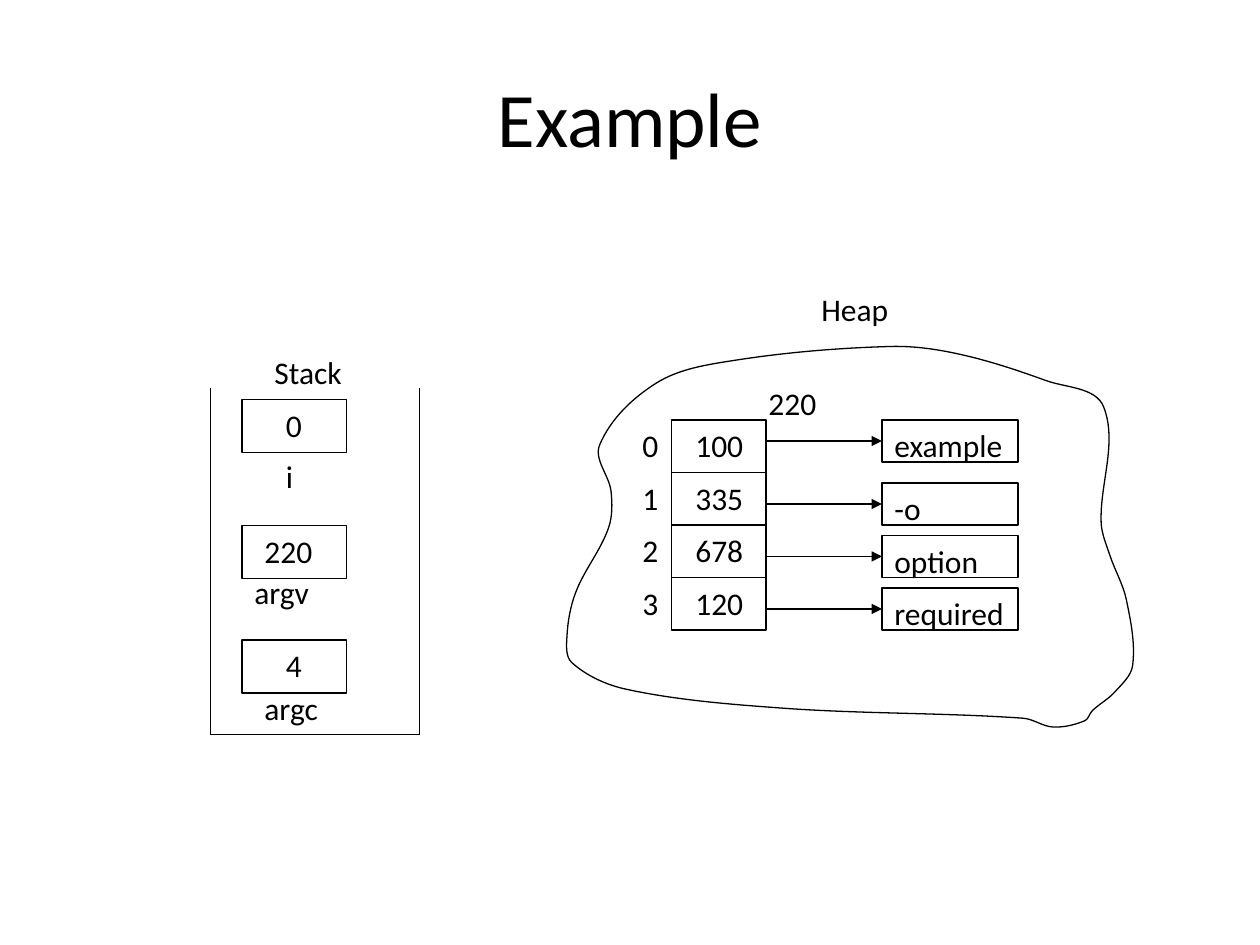
"""Build the slide showing how argc, argv and i sit on the stack and heap."""
import math

from pptx import Presentation
from pptx import util as u
from pptx.dml import color
from pptx.enum import shapes, text
from pptx.oxml import ns, xmlchemy

BLACK = color.RGBColor(0, 0, 0)
LABEL_FONT = {"name": "Calibri", "size": u.Pt(18)}
TITLE_FONT = {"name": "Calibri", "size": u.Pt(44)}
LABEL_FRAME = {"word_wrap": False, "auto_size": text.MSO_AUTO_SIZE.SHAPE_TO_FIT_TEXT}

TITLE = "Example"
LABEL_H = 0.4
DIGIT_W, NUMBER_W = 0.34, 0.62

HEADINGS = [("Stack", 2.08, 2.75, 0.83), ("Heap", 6.42, 2.25, 0.8), ("220", 6, 3, NUMBER_W)]

STACK_LEFT, STACK_RIGHT, STACK_TOP, STACK_BOTTOM = 1.67, 3.33, 3.08, 5.83
SLOT_LEFT, SLOT_W, SLOT_H = 1.92, 0.83, 0.42
SLOTS = [
    (3.17, ("0", 2.17, DIGIT_W), ("i", 2.17, 3.58, 0.26)),
    (4.17, ("220", 2, NUMBER_W), ("argv", 1.92, 4.5, 0.69)),
    (5.08, ("4", 2.17, DIGIT_W), ("argc", 2, 5.42, 0.69)),
]

ARRAY_LEFT, ARRAY_TOP, ARRAY_W, CELL_H = 5.33, 10 / 3, 0.75, 5 / 12
INDEX_LEFT, ADDRESS_LEFT = 5, 5.42
STRING_LEFT, STRING_W, STRING_H = 7, 1.08, 1 / 3
ENTRIES = [
    ("100", "example", 1.15),
    ("335", "-o", 0.42),
    ("678", "option", 0.88),
    ("120", "required", 1.12),
]

HEAP_SIDES = {
    "left": [(5.83, 2.86), (5.21, 3.04), (4.76, 3.53), (4.85, 3.9), (4.83, 4.19), (4.57, 4.7), (4.5, 5.05)],
    "bottom": [(4.54, 5.26), (4.97, 5.47), (6.21, 5.62), (8.12, 5.7), (8.36, 5.77), (8.61, 5.72), (8.67, 5.64)],
    "right": [(8.85, 5.49), (8.99, 5.28), (8.94, 4.76), (8.81, 4.41), (8.74, 4.15), (8.76, 3.23)],
    "top": [(8.3, 3.02), (7.61, 2.81), (7.07, 2.75)],
}


def set_all(target, values):
    for key, value in values.items():
        setattr(target, key, value)


def inches(*lengths):
    return [u.Inches(length) for length in lengths]


def style_font(font, values):
    set_all(font, values)
    font.color.rgb = BLACK


def outline(part):
    part.line.color.rgb = BLACK
    part.line.width = u.Pt(0.75)


def style_shape(part):
    part.shadow.inherit = False
    part.fill.background()
    outline(part)


def add_box(slide, left, top, width, height):
    style_shape(slide.shapes.add_shape(shapes.MSO_SHAPE.RECTANGLE, *inches(left, top, width, height)))


def add_line(slide, x1, y1, x2, y2, arrow=False):
    line = slide.shapes.add_connector(shapes.MSO_CONNECTOR.STRAIGHT, *inches(x1, y1, x2, y2))
    outline(line)
    if arrow:
        head = xmlchemy.OxmlElement("a:tailEnd")
        head.set("type", "triangle")
        line.line._get_or_add_ln().append(head)
    line._element.spPr.append(xmlchemy.OxmlElement("a:effectLst"))


def add_label(slide, words, left, top, width):
    label = slide.shapes.add_textbox(*inches(left, top, width, LABEL_H))
    set_all(label.text_frame, LABEL_FRAME)
    run = label.text_frame.paragraphs[0].add_run()
    run.text = words
    style_font(run.font, LABEL_FONT)


def handle(anchor, before, after, reach):
    """Step from an anchor, parallel to the line joining its neighbours."""
    dx, dy = after[0] - before[0], after[1] - before[1]
    scale = reach / math.hypot(dx, dy)
    return anchor[0] + dx * scale, anchor[1] + dy * scale


def smooth_curves(anchors):
    """Return two handles and an end point for each side of a closed smooth loop."""
    curves = []
    for i, start in enumerate(anchors):
        before, end, after = (anchors[(i + step) % len(anchors)] for step in (-1, 1, 2))
        reach = math.dist(start, end) / 3
        curves.append((handle(start, before, end, reach), handle(end, start, after, -reach), end))
    return curves


def add_heap(slide):
    anchors = [point for side in HEAP_SIDES.values() for point in side]
    builder = slide.shapes.build_freeform(*inches(*anchors[0]))
    builder.add_line_segments([inches(*point) for curve in smooth_curves(anchors) for point in curve])
    heap = builder.convert_to_shape()
    style_shape(heap)
    segments = list(heap._element.iter(ns.qn("a:lnTo")))
    for first in range(0, 3 * len(anchors), 3):
        curve = xmlchemy.OxmlElement("a:cubicBezTo")
        segments[first].addprevious(curve)
        for segment in segments[first:first + 3]:
            curve.append(segment[0])
            segment.getparent().remove(segment)


def add_stack(slide):
    for x in (STACK_LEFT, STACK_RIGHT):
        add_line(slide, x, STACK_TOP, x, STACK_BOTTOM)
    add_line(slide, STACK_LEFT, STACK_BOTTOM, STACK_RIGHT, STACK_BOTTOM)
    for top, (value, left, width), variable in SLOTS:
        add_box(slide, SLOT_LEFT, top, SLOT_W, SLOT_H)
        add_label(slide, value, left, top, width)
        add_label(slide, *variable)


def add_array(slide):
    array_right = ARRAY_LEFT + ARRAY_W
    add_box(slide, ARRAY_LEFT, ARRAY_TOP, ARRAY_W, CELL_H * len(ENTRIES))
    for index, (address, string, string_label_w) in enumerate(ENTRIES):
        cell_top = ARRAY_TOP + index * CELL_H
        string_top = cell_top
        if index:
            add_line(slide, ARRAY_LEFT, cell_top, array_right, cell_top)
            string_top += CELL_H - STRING_H
        add_label(slide, str(index), INDEX_LEFT, cell_top, DIGIT_W)
        add_label(slide, address, ADDRESS_LEFT, cell_top, NUMBER_W)
        arrow_y = string_top + STRING_H / 2
        add_line(slide, array_right, arrow_y, STRING_LEFT, arrow_y, arrow=True)
        add_box(slide, STRING_LEFT, string_top, STRING_W, STRING_H)
        add_label(slide, string, STRING_LEFT, string_top, string_label_w)


def add_title(slide):
    title = slide.shapes.title
    set_all(title, dict(zip(("left", "top", "width", "height"), inches(0.5, 0.3, 9, 1.25))))
    title.text_frame.text = TITLE
    title.text_frame.vertical_anchor = text.MSO_ANCHOR.MIDDLE
    heading = title.text_frame.paragraphs[0]
    heading.alignment = text.PP_ALIGN.CENTER
    style_font(heading.runs[0].font, TITLE_FONT)


def main():
    deck = Presentation()
    set_all(deck, {"slide_width": u.Inches(10), "slide_height": u.Inches(7.5)})
    slide = deck.slides.add_slide(deck.slide_layouts[5])
    add_title(slide)
    add_stack(slide)
    add_heap(slide)
    for caption in HEADINGS:
        add_label(slide, *caption)
    add_array(slide)
    deck.save("out.pptx")


if __name__ == "__main__":
    main()
